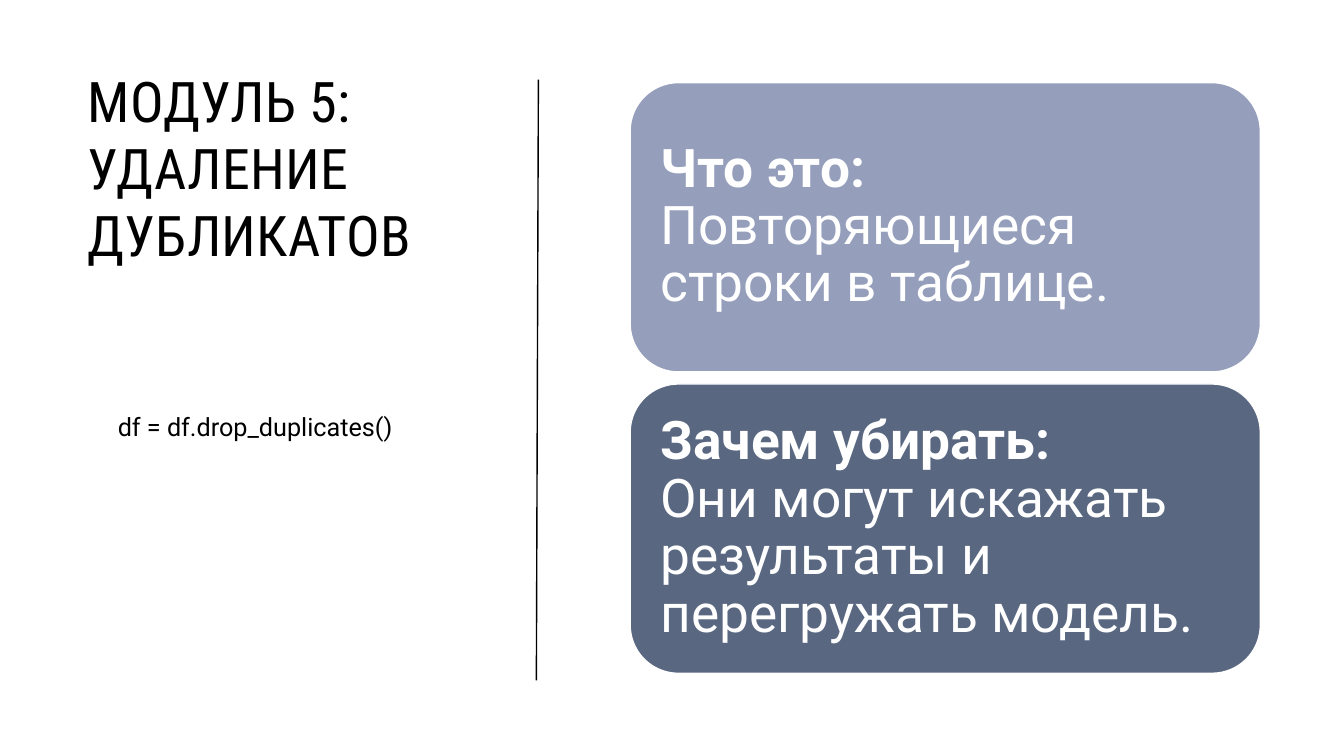
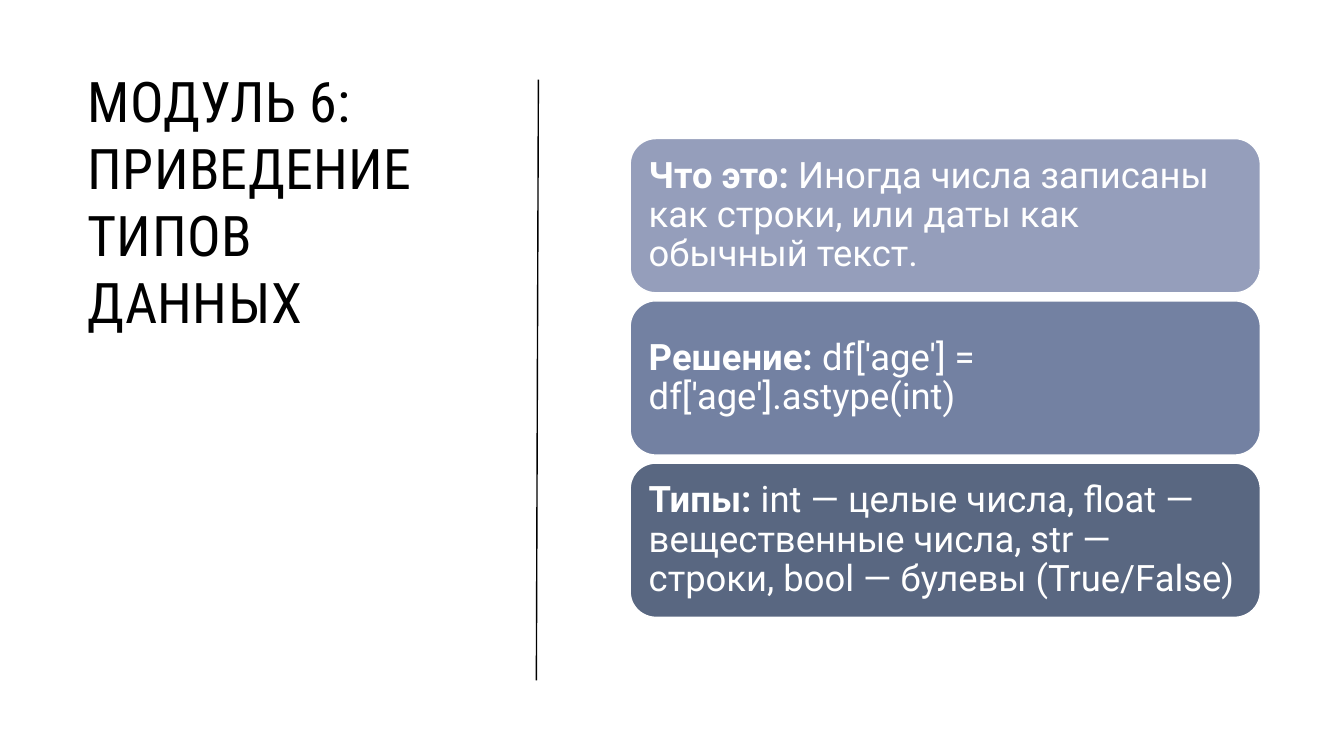
"""Build two course slides about cleaning data with pandas."""
from dataclasses import dataclass

from lxml import etree
from pptx import Presentation
from pptx.dml.color import RGBColor
from pptx.enum import shapes, text
from pptx.oxml import ns
from pptx.util import Inches, Pt


@dataclass(frozen=True)
class Theme:
    """Colours, fonts and type sizes shared by the slides."""
    ink: str = "000000"
    paper: str = "FFFFFF"
    lavender: str = "959EBB"
    steel: str = "7381A2"
    slate: str = "596781"
    heading_font: str = "Roboto Condensed"
    body_font: str = "Roboto"
    title_size: int = 40
    title_spacing: int = 30
    code_size: int = 18
    large_card: int = 38
    small_card: int = 26


THEME = Theme()
SLIDE_WIDTH, SLIDE_HEIGHT = 13.33, 7.5
CARD_LEFT, CARD_WIDTH = 6.25, 6.25


def rgb(colour):
    """Turn a hex string into a colour."""
    return RGBColor.from_string(colour)


def add_run(paragraph, words, size, colour, font=THEME.body_font, bold=False):
    """Append a formatted run to a paragraph."""
    run = paragraph.add_run()
    run.text = words
    run.font.name = font
    run.font.size = Pt(size)
    run.font.bold = bold
    run.font.color.rgb = rgb(colour)
    return run


def add_text_box(slide, left, top, width, height):
    """Add a wrapping text box and return its first paragraph."""
    frame = slide.shapes.add_textbox(
        Inches(left), Inches(top), Inches(width), Inches(height)).text_frame
    frame.word_wrap = True
    return frame.paragraphs[0]


def add_title(slide, title):
    """Set the title in the left column."""
    run = add_run(add_text_box(slide, 0.77, 0.61, 3.96, 4.99), title,
                  THEME.title_size, THEME.ink, THEME.heading_font)
    run.font._element.set("spc", str(THEME.title_spacing))


def add_divider(slide):
    """Draw the slightly slanted rule between the columns."""
    rule = slide.shapes.add_connector(
        shapes.MSO_CONNECTOR.STRAIGHT,
        Inches(5.32), Inches(6.75), Inches(5.34), Inches(0.79))
    rule.line.color.rgb = rgb(THEME.ink)
    rule.line.width = Pt(1)
    etree.SubElement(rule._element.spPr, ns.qn("a:effectLst"))


def add_code(slide, code):
    """Place a line of code under the title."""
    add_run(add_text_box(slide, 1.07, 4.03, 6.67, 0.4), code,
            THEME.code_size, THEME.ink)


def add_card(slide, top, height, margin, size, fill, label, body, break_after_label):
    """Add a rounded card with a bold label and its explanation."""
    card = slide.shapes.add_shape(
        shapes.MSO_SHAPE.ROUNDED_RECTANGLE,
        Inches(CARD_LEFT), Inches(top), Inches(CARD_WIDTH), Inches(height))
    card.shadow.inherit = False
    card.fill.solid()
    card.fill.fore_color.rgb = rgb(fill)
    card.line.color.rgb = rgb(THEME.paper)
    card.line.width = Pt(1)
    frame = card.text_frame
    frame.word_wrap = True
    frame.vertical_anchor = text.MSO_ANCHOR.MIDDLE
    frame.margin_left = frame.margin_right = Inches(margin)
    frame.margin_top = frame.margin_bottom = Inches(margin)
    paragraph = frame.paragraphs[0]
    paragraph.alignment = text.PP_ALIGN.LEFT
    paragraph.line_spacing = 0.9
    add_run(paragraph, label if break_after_label else label + " ",
            size, THEME.paper, bold=True)
    if break_after_label:
        paragraph.add_line_break()
        paragraph._p[-1].get_or_add_rPr().set("sz", str(size * 100))
    add_run(paragraph, body, size, THEME.paper)


def add_cards(slide, cards, height, gap, margin, size, break_after_label=False):
    """Stack equal cards, centred on the slide height."""
    pitch = height + gap
    first_top = (SLIDE_HEIGHT - len(cards) * pitch + gap) / 2
    for index, (fill, label, body) in enumerate(cards):
        add_card(slide, first_top + index * pitch, height, margin, size,
                 fill, label, body, break_after_label)


def add_module(deck, title):
    """Add a slide with the shared title and divider."""
    slide = deck.slides.add_slide(deck.slide_layouts[6])
    slide.background.fill.solid()
    slide.background.fill.fore_color.rgb = rgb(THEME.paper)
    add_title(slide, title)
    add_divider(slide)
    return slide


def main():
    """Build and save the slides."""
    deck = Presentation()
    deck.slide_width, deck.slide_height = Inches(SLIDE_WIDTH), Inches(SLIDE_HEIGHT)

    duplicates = add_module(deck, "МОДУЛЬ 5: УДАЛЕНИЕ ДУБЛИКАТОВ")
    add_cards(duplicates, [
        (THEME.lavender, "Что это:", "Повторяющиеся строки в таблице."),
        (THEME.slate, "Зачем убирать:",
         "Они могут искажать результаты и перегружать модель."),
    ], height=2.87, gap=0.12, margin=0.16, size=THEME.large_card,
        break_after_label=True)
    add_code(duplicates, "df = df.drop_duplicates()")

    data_types = add_module(deck, "МОДУЛЬ 6: ПРИВЕДЕНИЕ ТИПОВ ДАННЫХ")
    add_cards(data_types, [
        (THEME.lavender, "Что это:",
         "Иногда числа записаны как строки, или даты как обычный текст."),
        (THEME.steel, "Решение:", "df['age'] = df['age'].astype(int)"),
        (THEME.slate, "Типы:",
         "int — целые числа, float — вещественные числа, str — строки, "
         "bool — булевы (True/False)"),
    ], height=1.53, gap=0.08, margin=0.11, size=THEME.small_card)

    deck.save("out.pptx")


if __name__ == "__main__":
    main()
